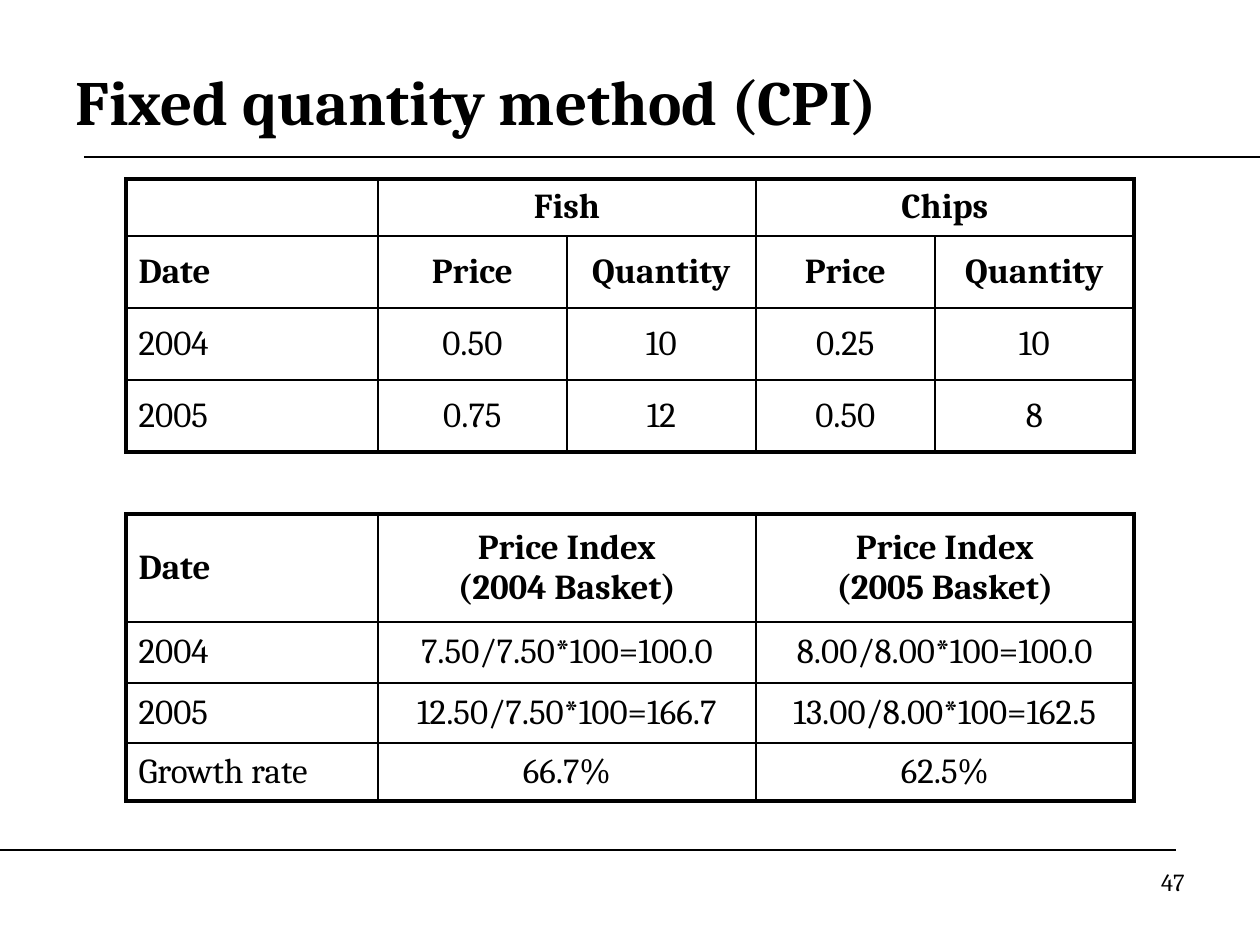
"""Build the slide on the fixed quantity method for a price index."""
from lxml.etree import SubElement
from pptx import Presentation
from pptx.dml.color import RGBColor
from pptx.enum.shapes import MSO_CONNECTOR
from pptx.enum.text import MSO_ANCHOR, PP_ALIGN
from pptx.oxml import parse_xml
from pptx.oxml.ns import nsdecls, qn
from pptx.util import Pt

PX = 914400 // 126
BLACK = RGBColor(0, 0, 0)
WHITE = RGBColor(255, 255, 255)
FONT = "Cambria"
THICK, THIN = 2.25, 1

TITLE = "Fixed quantity method (CPI)"
NUMBER = "47"
RULES = [(84, 1260, 157), (0, 1176, 850)]
TABLES = [
    {
        "top": 179, "heads": 2,
        "cols": [252, 189, 189, 179, 199],
        "rows": [57, 72, 72, 72],
        "cells": [
            ["", "Fish", None, "Chips", None],
            ["Date", "Price", "Quantity", "Price", "Quantity"],
            ["2004", "0.50", "10", "0.25", "10"],
            ["2005", "0.75", "12", "0.50", "8"],
        ],
    },
    {
        "top": 514, "heads": 1,
        "cols": [252, 378, 378],
        "rows": [108, 61, 60, 58],
        "cells": [
            ["Date", "Price Index\n(2004 Basket)", "Price Index\n(2005 Basket)"],
            ["2004", "7.50/7.50*100=100.0", "8.00/8.00*100=100.0"],
            ["2005", "12.50/7.50*100=166.7", "13.00/8.00*100=162.5"],
            ["Growth rate", "66.7%", "62.5%"],
        ],
    },
]


def box(*sides):
    return [side * PX for side in sides]


def write(para, text, size, bold=False, align=PP_ALIGN.LEFT):
    para.alignment = align
    for i, line in enumerate(text.split("\n")):
        if i:
            para.add_line_break()
        run = para.add_run()
        run.text = line
        font = run.font
        font.name, font.size, font.bold = FONT, Pt(size), bold
        font.color.rgb = BLACK


def edge(cell, outer):
    props = cell._tc.get_or_add_tcPr()
    for i, side in enumerate("LRTB"):
        width = Pt(THICK if outer[side] else THIN)
        props.insert(i, parse_xml(
            f'<a:ln{side} {nsdecls("a")} w="{width}"><a:solidFill>'
            f'<a:srgbClr val="{BLACK}"/></a:solidFill></a:ln{side}>'))


def draw_table(slide, top, heads, cols, rows, cells):
    frame = slide.shapes.add_table(
        len(rows), len(cols), *box(126, top, sum(cols), sum(rows)))
    table = frame.table
    table.first_row = table.horz_banding = False
    for col, width in zip(table.columns, cols):
        col.width = width * PX
    for row, height in zip(table.rows, rows):
        row.height = height * PX
    for r, texts in enumerate(cells):
        for c, text in enumerate(texts):
            cell = table.cell(r, c)
            end = c
            while end + 1 < len(cols) and texts[end + 1] is None:
                end += 1
            if end > c and text is not None:
                cell.merge(table.cell(r, end))
            cell.fill.background()
            cell.vertical_anchor = MSO_ANCHOR.MIDDLE
            edge(cell, {"L": c == 0, "R": end == len(cols) - 1,
                        "T": r == 0, "B": r == len(rows) - 1})
            if text:
                align = PP_ALIGN.CENTER if c else PP_ALIGN.LEFT
                write(cell.text_frame.paragraphs[0], text, 20, r < heads, align)


def main():
    deck = Presentation()
    deck.slide_width, deck.slide_height = box(1260, 945)
    slide = deck.slides.add_slide(deck.slide_layouts[5])
    slide.background.fill.solid()
    slide.background.fill.fore_color.rgb = WHITE

    for left, right, y in RULES:
        rule = slide.shapes.add_connector(
            MSO_CONNECTOR.STRAIGHT, *box(left, y, right, y))
        rule.line.color.rgb = BLACK
        rule.line.width = Pt(0.75)
        SubElement(rule._element.spPr, qn("a:effectLst"))

    title = slide.shapes.title
    title.left, title.top, title.width, title.height = box(63, 42, 1134, 116)
    title.text_frame.vertical_anchor = MSO_ANCHOR.MIDDLE
    write(title.text_frame.paragraphs[0], TITLE, 36, True)

    for table in TABLES:
        draw_table(slide, **table)

    page = slide.shapes.add_textbox(*box(903, 861, 294, 66)).text_frame
    page.word_wrap = True
    write(page.paragraphs[0], NUMBER, 14, align=PP_ALIGN.RIGHT)
    deck.save("out.pptx")


if __name__ == "__main__":
    main()
